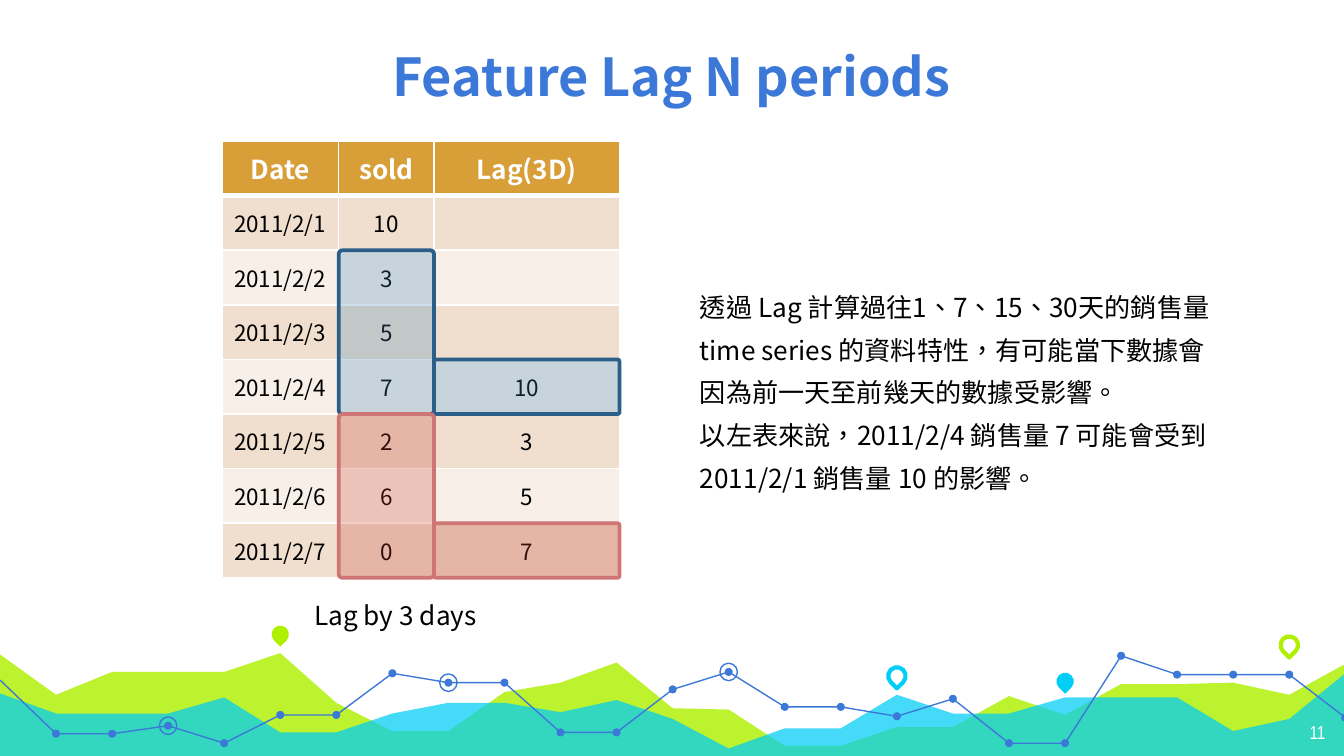
from lxml import etree
from pptx import Presentation, util as u
from pptx.dml.color import RGBColor
from pptx.enum import shapes, text
from pptx.oxml.ns import qn

W = 10
H = W * 9 / 16
FONT = "Noto Sans CJK SC"
BLUE, LIME, CYAN = "3C78D8", "AFF000", "00CEF6"
STEP = 10.01 / 24
DOT, RING = 0.06, 0.13
AREAS = [
    (LIME, 82, [4.87, 5.17, 5, 5, 5, 4.86, 5.23, 5.44, 5.44, 5.15, 5.08, 4.93, 5.27, 5.28, 5.55,
                5.55, 5.41, 5.41, 5.18, 5.32, 5.09, 5.09, 5.08, 5.17, 4.94]),
    (CYAN, 73, [5.16, 5.31, 5.31, 5.31, 5.19, 5.45, 5.45, 5.31, 5.23, 5.23, 5.3, 5.21, 5.35, 5.57,
                5.42, 5.42, 5.17, 5.31, 5.31, 5.19, 5.19, 5.19, 5.44, 5.35, 5.01]),
]
TREND = [5.06, 5.46, 5.46, 5.4, 5.53, 5.32, 5.32, 5.01, 5.08, 5.08, 5.45, 5.45, 5.13, 5, 5.26,
         5.26, 5.33, 5.2, 5.53, 5.53, 4.88, 5.02, 5.02, 5.02, 5.34]
SEGMENTS = [(0, 11), (11, 20), (20, 24)]
RINGED = [3, 8, 13]
PINS = [(5, 4.72, LIME, True), (16, 5.03, CYAN, False), (19, 5.07, CYAN, True), (23, 4.8, LIME, False)]

TABLE_X, TABLE_Y, TABLE_H = 1.65, 1.05, 3.25
COLS = [0.87, 0.71, 1.38]
ROWS = [
    ("Date", "sold", "Lag(3D)"),
    ("2011/2/1", "10", ""),
    ("2011/2/2", "3", ""),
    ("2011/2/3", "5", ""),
    ("2011/2/4", "7", "10"),
    ("2011/2/5", "2", "3"),
    ("2011/2/6", "6", "5"),
    ("2011/2/7", "0", "7"),
]
ROW_H = TABLE_H / len(ROWS)
FRAMES = [
    (1, 2, 3, "3A81BA", "2B5F8A"),
    (2, 4, 1, "3A81BA", "2B5F8A"),
    (1, 5, 3, "C83F2C", "D07576"),
    (2, 7, 1, "C83F2C", "D07576"),
]
NOTES = [
    ["透過 Lag 計算過往1、7、15、30天的銷售量",
     "time series 的資料特性，有可能當下數據會因為前一天至前幾天的數據受影響。"],
    ["以左表來說，2011/2/4 銷售量 7 可能會受到2011/2/1 銷售量 10 的影響。"],
]


def rgb(value):
    """Turn a hex string into a colour."""
    return RGBColor.from_string(value)


def paint(sp, fill=None, line=None, width=0.75, alpha=None):
    """Set fill, opacity in percent and outline of a shape."""
    sp.shadow.inherit = False
    if fill:
        sp.fill.solid()
        sp.fill.fore_color.rgb = rgb(fill)
        if alpha:
            color = sp.fill._xPr.find(qn("a:solidFill"))[0]
            etree.SubElement(color, qn("a:alpha")).set("val", str(alpha * 1000))
    else:
        sp.fill.background()
    if line:
        sp.line.color.rgb = rgb(line)
        sp.line.width = u.Pt(width)
    else:
        sp.line.fill.background()


def add_preset(s, kind, x, y, w, h):
    """Add a preset shape with its place in inches."""
    return s.shapes.add_shape(kind, u.Inches(x), u.Inches(y), u.Inches(w), u.Inches(h))


def add_marker(s, kind, x, y, size):
    """Add a small preset shape centred on a point."""
    return add_preset(s, kind, x - size / 2, y - size / 2, size, size)


def add_path(s, points, closed):
    """Add a freeform through points given in inches."""
    pts = [(u.Inches(x), u.Inches(y)) for x, y in points]
    builder = s.shapes.build_freeform(*pts[0], scale=1.0)
    builder.add_line_segments(pts[1:], close=closed)
    return builder.convert_to_shape()


def add_run(p, words, size, color="000000", bold=False, font=FONT):
    """Add a formatted run for Latin and East Asian text."""
    r = p.add_run()
    r.text = words
    r.font.size, r.font.bold, r.font.name = u.Pt(size), bold, font
    r.font.color.rgb = rgb(color)
    r._r.rPr.set("lang", "zh-TW")
    etree.SubElement(r._r.rPr, qn("a:ea")).set("typeface", font)


def add_text(s, x, y, w, h, inset=None):
    """Add a wrapping text box and return its frame."""
    tf = s.shapes.add_textbox(u.Inches(x), u.Inches(y), u.Inches(w), u.Inches(h)).text_frame
    tf.word_wrap = True
    if inset is not None:
        tf.margin_left = tf.margin_right = tf.margin_top = tf.margin_bottom = u.Inches(inset)
    return tf


def draw_landscape(s):
    """Draw the areas, trend line, dots, rings and pins along the foot."""
    for color, alpha, heights in AREAS:
        ridge = [(i * STEP, y) for i, y in enumerate(heights)]
        paint(add_path(s, ridge + [(ridge[-1][0], H), (0, H)], True), color, alpha=alpha)
    trend = [(i * STEP, y) for i, y in enumerate(TREND)]
    for first, last in SEGMENTS:
        paint(add_path(s, trend[first:last + 1], False), line=BLUE)
    for x, y in trend[1:]:
        paint(add_marker(s, shapes.MSO_SHAPE.OVAL, x, y, DOT), BLUE)
    for i in RINGED:
        paint(add_marker(s, shapes.MSO_SHAPE.OVAL, *trend[i], RING), line=BLUE)
    for i, y, color, solid in PINS:
        sp = add_marker(s, shapes.MSO_SHAPE.TEAR, i * STEP, y, RING)
        sp.rotation = 135
        paint(sp, color if solid else None, None if solid else color, 2.25)


def set_borders(cell, top, bottom):
    """Give a cell white borders, with top and bottom widths in points."""
    tc_pr = cell._tc.get_or_add_tcPr()
    for i, (side, width) in enumerate([("L", 1), ("R", 1), ("T", top), ("B", bottom)]):
        ln = etree.Element(qn("a:ln" + side), w=str(u.Pt(width)))
        fill = etree.SubElement(ln, qn("a:solidFill"))
        etree.SubElement(fill, qn("a:srgbClr")).set("val", "FFFFFF")
        tc_pr.insert(i, ln)


def draw_table(s):
    """Draw the sales table and the frames over its cells."""
    table = s.shapes.add_table(len(ROWS), len(COLS), u.Inches(TABLE_X), u.Inches(TABLE_Y),
                               u.Inches(sum(COLS)), u.Inches(TABLE_H)).table
    for column, width in zip(table.columns, COLS):
        column.width = u.Inches(width)
    for i, row in enumerate(ROWS):
        table.rows[i].height = u.Inches(ROW_H)
        head = i == 0
        for j, words in enumerate(row):
            cell = table.cell(i, j)
            cell.fill.solid()
            cell.fill.fore_color.rgb = rgb("D89F39" if head else ("F8F0E8", "F0DFCE")[i % 2])
            cell.vertical_anchor = text.MSO_ANCHOR.MIDDLE
            if not head and j != 1:
                cell.margin_left = cell.margin_right = cell.margin_top = cell.margin_bottom = 0
            set_borders(cell, 3 if i == 1 else 1, 3 if head else 1)
            if words:
                p = cell.text_frame.paragraphs[0]
                p.alignment = text.PP_ALIGN.CENTER
                add_run(p, words, 14 if head else 12, "FFFFFF" if head else "000000", head)
    for col, row, count, fill, line in FRAMES:
        sp = add_preset(s, shapes.MSO_SHAPE.ROUNDED_RECTANGLE, TABLE_X + sum(COLS[:col]),
                        TABLE_Y + row * ROW_H, COLS[col], count * ROW_H)
        sp.adjustments[0] = 0.04
        paint(sp, fill, line, 2, 25)


def draw_text(s):
    """Write the caption and the explanation."""
    sp = add_preset(s, shapes.MSO_SHAPE.RECTANGLE, 2.24, 4.41, 1.48, 0.34)
    paint(sp, "FFFFFF")
    sp.text_frame.word_wrap = False
    p = sp.text_frame.paragraphs[0]
    p.alignment = text.PP_ALIGN.LEFT
    add_run(p, "Lag by 3 days", 14)
    tf = add_text(s, 5.11, 2.03, 4.14, 1.68)
    for i, lines in enumerate(NOTES):
        p = tf.add_paragraph() if i else tf.paragraphs[0]
        p.line_spacing = u.Pt(23)
        for k, words in enumerate(lines):
            if k:
                p.add_line_break()
            add_run(p, words, 14)


def main():
    """Build and save the slide."""
    prs = Presentation()
    prs.slide_width, prs.slide_height = u.Inches(W), u.Inches(H)
    s = prs.slides.add_slide(prs.slide_layouts[6])
    draw_landscape(s)
    tf = add_text(s, 0.13, 0.2, 9.73, 0.7, 0.1)
    tf.vertical_anchor = text.MSO_ANCHOR.BOTTOM
    tf.paragraphs[0].alignment = text.PP_ALIGN.CENTER
    add_run(tf.paragraphs[0], "Feature Lag N periods", 28, BLUE, True)
    tf = add_text(s, 9.36, 5.28, 0.6, 0.35, 0.1)
    tf.paragraphs[0].alignment = text.PP_ALIGN.RIGHT
    add_run(tf.paragraphs[0], "11", 10, "FFFFFF", font="Arial Narrow")
    draw_table(s)
    draw_text(s)
    prs.save("out.pptx")


if __name__ == "__main__":
    main()
